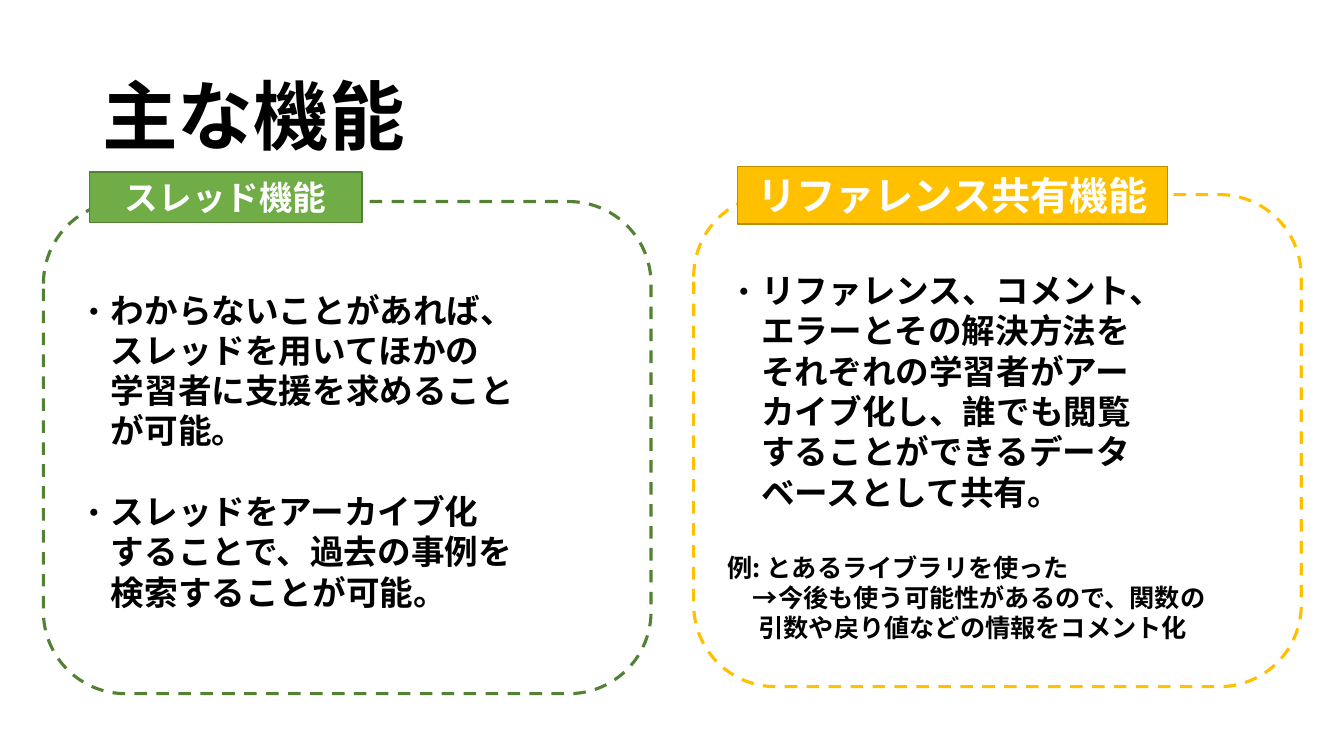
from typing import NamedTuple

from lxml.etree import SubElement
from pptx import Presentation
from pptx.dml.color import RGBColor
from pptx.enum.dml import MSO_LINE_DASH_STYLE as DashStyle
from pptx.enum.shapes import MSO_SHAPE as ShapeType
from pptx.enum.text import MSO_ANCHOR as Anchor, PP_ALIGN as Align
from pptx.oxml.ns import qn
from pptx.util import Pt

FONT = "Noto Sans CJK JP"
LINE_RATIO = 1.2
PANEL_WIDTH, PANEL_HEIGHT = 434, 351.5
BODY_SIZE, EXAMPLE_SIZE = 24, 18
BLACK = RGBColor(0x00, 0x00, 0x00)
WHITE = RGBColor(0xFF, 0xFF, 0xFF)
GREEN = RGBColor(0x70, 0xAD, 0x47)
GREEN_BORDER = RGBColor(0x53, 0x80, 0x35)
GREEN_DASH = RGBColor(0x54, 0x82, 0x35)
GOLD = RGBColor(0xFF, 0xC0, 0x00)
GOLD_BORDER = RGBColor(0xBD, 0x8E, 0x00)


class Box(NamedTuple):
    left: float
    top: float
    width: float
    height: float


class Entry(NamedTuple):
    text: str
    size: float = BODY_SIZE
    indent: float = BODY_SIZE
    bullet: bool = True
    gap: float = 0


class Feature(NamedTuple):
    panel: Box
    dash_color: RGBColor
    top_margin: float
    entries: list[Entry]
    label: Box
    label_text: str
    label_size: float
    label_fill: RGBColor
    label_border: RGBColor


GAP = BODY_SIZE * LINE_RATIO
FEATURES = [
    Feature(
        Box(31, 144, PANEL_WIDTH, PANEL_HEIGHT), GREEN_DASH, 8,
        [
            Entry("わからないことがあれば、\vスレッドを用いてほかの\v"
                  "学習者に支援を求めること\vが可能。"),
            Entry("スレッドをアーカイブ化\vすることで、過去の事例を\v"
                  "検索することが可能。", gap=GAP),
        ],
        Box(64, 123, 194.5, 36), "スレッド機能", 24, GREEN, GREEN_BORDER,
    ),
    Feature(
        Box(495.5, 139, PANEL_WIDTH, PANEL_HEIGHT), GOLD, 26,
        [
            Entry("リファレンス、コメント、\vエラーとその解決方法を\v"
                  "それぞれの学習者がアー\vカイブ化し、誰でも閲覧\v"
                  "することができるデータ\vベースとして共有。"),
            Entry("例: とあるライブラリを使った", EXAMPLE_SIZE, 0, False, GAP),
            Entry("→今後も使う可能性があるので、関数の", EXAMPLE_SIZE, 18, False),
            Entry("引数や戻り値などの情報をコメント化", EXAMPLE_SIZE, 22, False),
        ],
        Box(527, 119, 307, 41), "リファレンス共有機能", 28, GOLD, GOLD_BORDER,
    ),
]


def lengths(box: Box) -> list[Pt]:
    return [Pt(value) for value in box]


def style_paragraph(paragraph, size: float, color: RGBColor, align=Align.LEFT,
                    ratio: float = LINE_RATIO) -> None:
    paragraph.alignment = align
    paragraph.line_spacing = Pt(round(size * ratio, 1))
    for run in paragraph.runs:
        run.font.size = Pt(size)
        run.font.bold = True
        run.font.color.rgb = color
        run.font.name = FONT
        SubElement(run.font._element, qn("a:ea"), typeface=FONT)


def indent_paragraph(paragraph, entry: Entry) -> None:
    properties = paragraph._p.get_or_add_pPr()
    properties.set("marL", str(Pt(entry.indent)))
    if entry.bullet:
        properties.set("indent", str(-Pt(entry.indent)))
        SubElement(properties, qn("a:buFont"), typeface=FONT)
        SubElement(properties, qn("a:buChar"), char="・")


def add_outlined_shape(slide, kind, box: Box, fill: RGBColor, line: RGBColor,
                       line_width: float):
    shape = slide.shapes.add_shape(kind, *lengths(box))
    shape.shadow.inherit = False
    shape.fill.solid()
    shape.fill.fore_color.rgb = fill
    shape.line.color.rgb = line
    shape.line.width = Pt(line_width)
    shape.text_frame.word_wrap = True
    shape.text_frame.vertical_anchor = Anchor.MIDDLE
    return shape


def add_title(slide, text: str) -> None:
    text_frame = slide.shapes.add_textbox(*lengths(Box(66, 29, 828, 104))).text_frame
    text_frame.word_wrap = True
    text_frame.vertical_anchor = Anchor.MIDDLE
    text_frame.text = text
    style_paragraph(text_frame.paragraphs[0], 54, BLACK, ratio=1.22)


def add_feature(slide, feature: Feature) -> None:
    panel = add_outlined_shape(slide, ShapeType.ROUNDED_RECTANGLE, feature.panel,
                               WHITE, feature.dash_color, 2.25)
    panel.line.dash_style = DashStyle.DASH
    text_frame = panel.text_frame
    text_frame.margin_top = Pt(feature.top_margin)
    for index, entry in enumerate(feature.entries):
        paragraph = text_frame.add_paragraph() if index else text_frame.paragraphs[0]
        paragraph.text = entry.text
        paragraph.space_before = Pt(entry.gap)
        style_paragraph(paragraph, entry.size, BLACK)
        indent_paragraph(paragraph, entry)

    label = add_outlined_shape(slide, ShapeType.RECTANGLE, feature.label,
                               feature.label_fill, feature.label_border, 1)
    label.text_frame.text = feature.label_text
    style_paragraph(label.text_frame.paragraphs[0], feature.label_size, WHITE, Align.CENTER)


presentation = Presentation()
presentation.slide_width = Pt(960)
presentation.slide_height = Pt(540)
slide = presentation.slides.add_slide(presentation.slide_layouts[6])
add_title(slide, "主な機能")
for feature in FEATURES:
    add_feature(slide, feature)
presentation.save("out.pptx")
